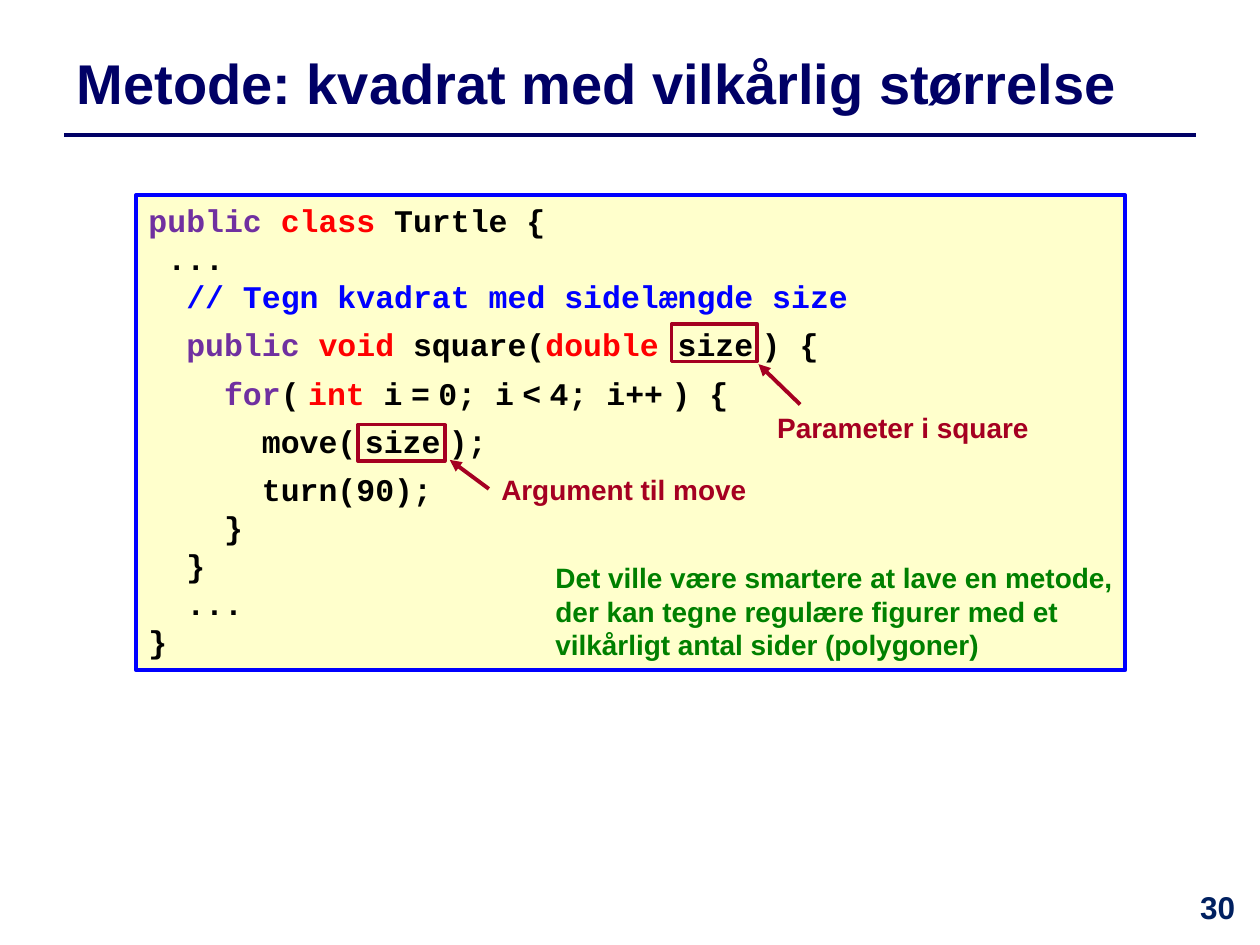
from typing import NamedTuple

from lxml.etree import SubElement
from pptx import Presentation
from pptx.dml.color import RGBColor
from pptx.enum.shapes import MSO_CONNECTOR, MSO_SHAPE
from pptx.enum.text import MSO_ANCHOR, PP_ALIGN
from pptx.oxml.ns import qn
from pptx.util import Inches, Pt

NAVY = RGBColor(0x00, 0x00, 0x66)
DARK_BLUE = RGBColor(0x00, 0x20, 0x60)
BLUE = RGBColor(0x00, 0x00, 0xFF)
PURPLE = RGBColor(0x70, 0x30, 0xA0)
RED = RGBColor(0xFF, 0x00, 0x00)
CRIMSON = RGBColor(0xA5, 0x00, 0x21)
GREEN = RGBColor(0x00, 0x80, 0x00)
BLACK = RGBColor(0x00, 0x00, 0x00)
CREAM = RGBColor(0xFF, 0xFF, 0xCC)


class Box(NamedTuple):
    left: float
    top: float
    width: float
    height: float


class Label(NamedTuple):
    text: str
    box: Box
    size: int
    color: RGBColor
    align: PP_ALIGN = PP_ALIGN.LEFT
    anchor: MSO_ANCHOR = MSO_ANCHOR.TOP


class Line(NamedTuple):
    start: tuple
    end: tuple
    color: RGBColor
    width: float
    arrow: bool = False


class Token(NamedTuple):
    text: str
    color: RGBColor = BLACK
    size: int = 18


class CodeLine(NamedTuple):
    tokens: list
    space_before: int = 0


GAP = Token(" ", size=8)

CODE = [
    CodeLine([Token("public ", PURPLE), Token("class", RED), Token(" Turtle {")]),
    CodeLine([Token(" ...")]),
    CodeLine([Token("  "), Token("// Tegn kvadrat med sidelængde size", BLUE)]),
    CodeLine([Token("  "), Token("public ", PURPLE), Token("void", RED), Token(" square("),
              Token("double ", RED), Token("size"), GAP, Token(") {")], 6),
    CodeLine([Token("    "), Token("for", PURPLE), Token("("), GAP, Token("int", RED),
              Token(" i"), GAP, Token("="), GAP, Token("0; i"), GAP, Token("<"), GAP,
              Token("4; i++"), GAP, Token(") {")], 6),
    CodeLine([Token("      move("), GAP, Token("size"), GAP, Token(");")], 6),
    CodeLine([Token("      turn(90);")], 6),
    CodeLine([Token("    }")]),
    CodeLine([Token("  }")]),
    CodeLine([Token("  ...")]),
    CodeLine([Token("}")]),
]

TITLE = Label("Metode: kvadrat med vilkårlig størrelse", Box(0.51, 0.28, 8.98, 0.75),
              32, NAVY, anchor=MSO_ANCHOR.MIDDLE)
NOTES = [
    Label("Argument til move", Box(3.88, 3.7, 2.31, 0.37), 16, CRIMSON),
    Label("Parameter i square", Box(6.07, 3.21, 2.34, 0.37), 16, CRIMSON),
    Label("Det ville være smartere at lave en metode, der kan tegne regulære figurer "
          "med et vilkårligt antal sider (polygoner)", Box(4.31, 4.4, 4.79, 0.91), 16, GREEN),
    Label("30", Box(9.33, 7, 0.67, 0.5), 18, DARK_BLUE, PP_ALIGN.CENTER),
]
TITLE_RULE = Line((0.51, 1.07), (9.49, 1.07), NAVY, 2)
ARROWS = [
    Line((3.88, 3.88), (3.57, 3.65), CRIMSON, 2.25, True),
    Line((6.35, 3.21), (6.02, 2.89), CRIMSON, 2.25, True),
]
CODE_BOX = Box(1.08, 1.55, 7.85, 3.77)
SIZE_FRAMES = [Box(5.33, 2.57, 0.68, 0.3), Box(2.84, 3.37, 0.69, 0.29)]


def add_run(p, text: str, font: str, size: int, color: RGBColor) -> None:
    r = p.add_run()
    r.text = text
    for name, value in {"name": font, "size": Pt(size), "bold": True}.items():
        setattr(r.font, name, value)
    r.font.color.rgb = color


def add_label(slide, label: Label) -> None:
    tf = slide.shapes.add_textbox(*map(Inches, label.box)).text_frame
    tf.word_wrap = True
    tf.vertical_anchor = label.anchor
    p = tf.paragraphs[0]
    p.alignment = label.align
    add_run(p, label.text, "Arial", label.size, label.color)


def add_line(slide, line: Line) -> None:
    sp = slide.shapes.add_connector(MSO_CONNECTOR.STRAIGHT,
                                    *map(Inches, line.start + line.end))
    sp.line.color.rgb = line.color
    sp.line.width = Pt(line.width)
    if line.arrow:
        SubElement(sp.line._get_or_add_ln(), qn("a:tailEnd"), type="triangle")
    SubElement(sp._element.spPr, qn("a:effectLst"))


def add_frame(slide, box: Box, color: RGBColor, width: float):
    """Add an unfilled rectangle with a coloured border."""
    sp = slide.shapes.add_shape(MSO_SHAPE.RECTANGLE, *map(Inches, box))
    sp.shadow.inherit = False
    sp.fill.background()
    sp.line.color.rgb = color
    sp.line.width = Pt(width)
    return sp


def add_code(slide, box: Box, lines: list) -> None:
    sp = add_frame(slide, box, BLUE, 2.25)
    sp.fill.solid()
    sp.fill.fore_color.rgb = CREAM
    tf = sp.text_frame
    tf.word_wrap = True
    tf.vertical_anchor = MSO_ANCHOR.TOP
    for i, line in enumerate(lines):
        p = tf.add_paragraph() if i else tf.paragraphs[0]
        p.alignment = PP_ALIGN.LEFT
        p.space_before = Pt(line.space_before)
        for token in line.tokens:
            add_run(p, token.text, "Courier New", token.size, token.color)


def main() -> None:
    prs = Presentation()
    prs.slide_width, prs.slide_height = Inches(10), Inches(7.5)
    s = prs.slides.add_slide(prs.slide_layouts[6])
    add_line(s, TITLE_RULE)
    add_label(s, TITLE)
    add_code(s, CODE_BOX, CODE)
    for label in NOTES:
        add_label(s, label)
    for arrow in ARROWS:
        add_line(s, arrow)
    for frame in SIZE_FRAMES:
        add_frame(s, frame, CRIMSON, 2)
    prs.save("out.pptx")


if __name__ == "__main__":
    main()
